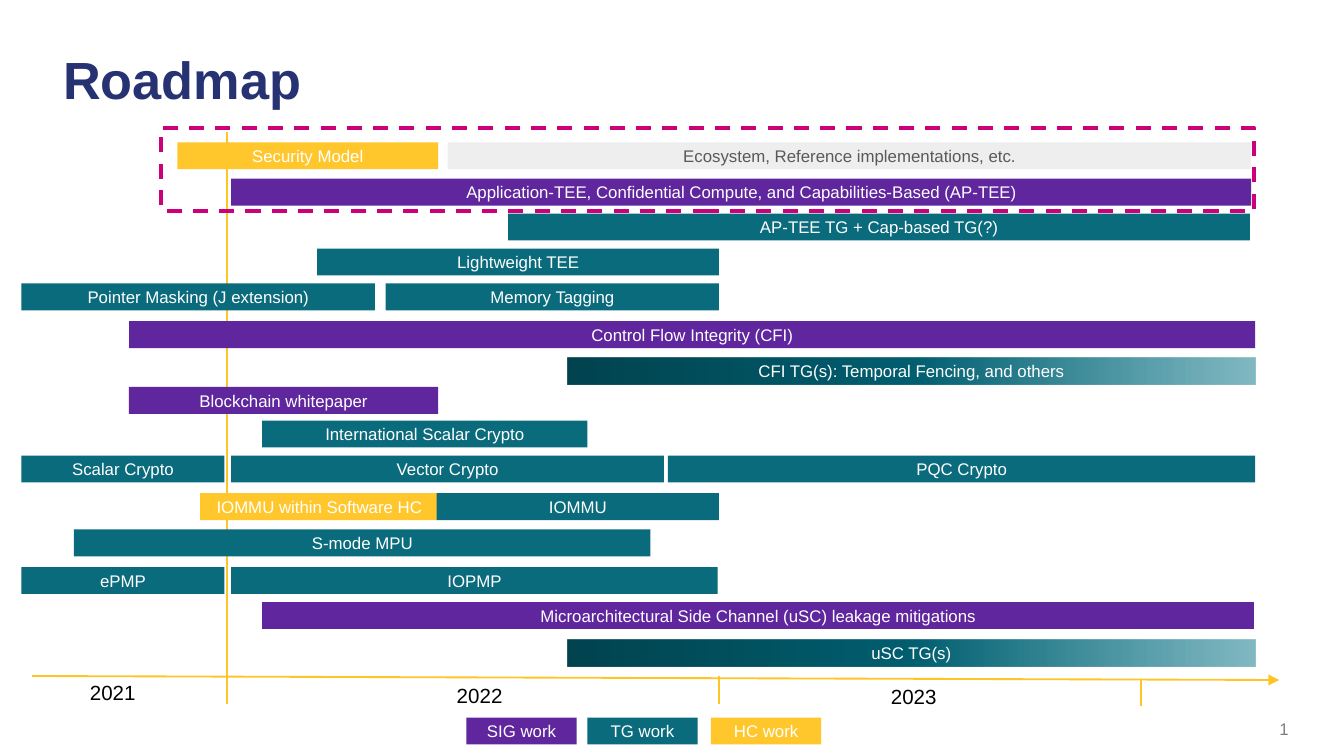
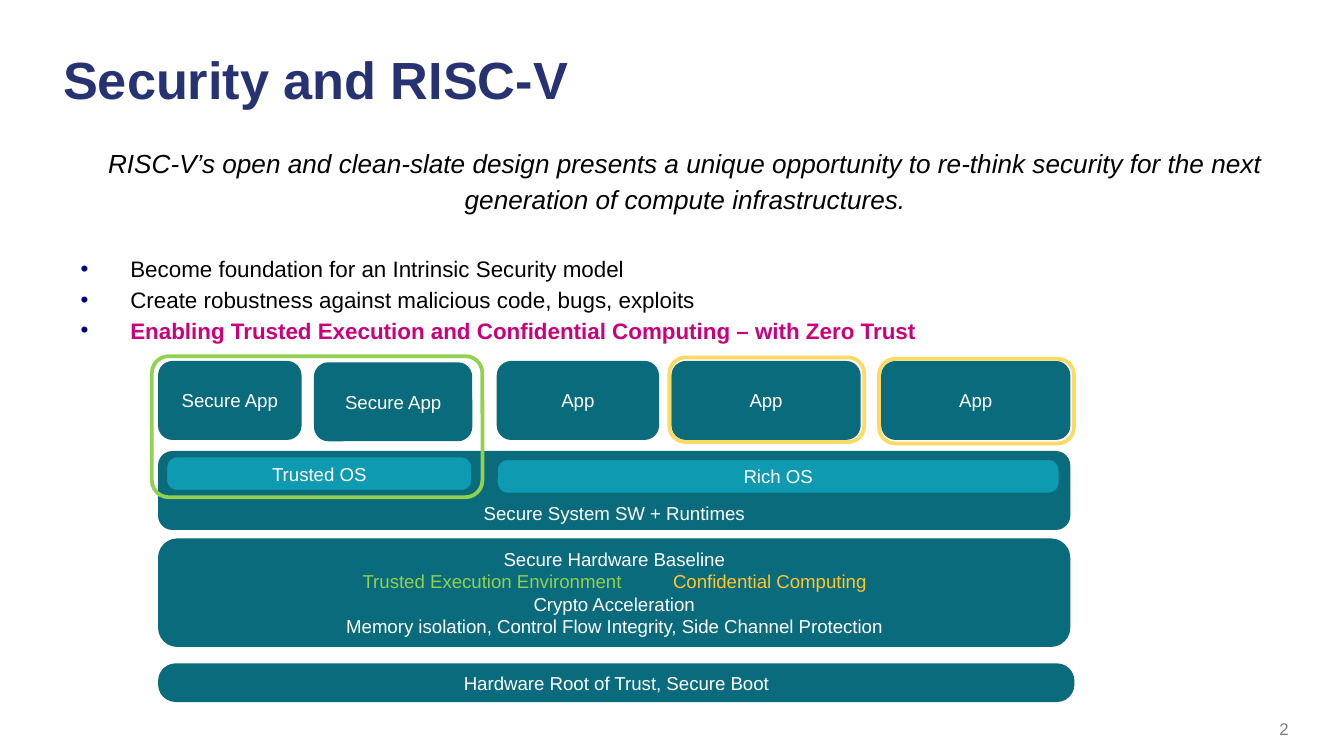
from dataclasses import dataclass

from lxml import etree
from pptx import Presentation
from pptx.dml.color import RGBColor
from pptx.enum.dml import MSO_LINE
from pptx.enum.shapes import MSO_CONNECTOR, MSO_SHAPE
from pptx.enum.text import MSO_ANCHOR, MSO_AUTO_SIZE, PP_ALIGN
from pptx.oxml.ns import qn
from pptx.util import Pt

RECT, ROUND = MSO_SHAPE.RECTANGLE, MSO_SHAPE.ROUNDED_RECTANGLE
STRAIGHT, DASH = MSO_CONNECTOR.STRAIGHT, MSO_LINE.DASH
LEFT, CENTER, RIGHT = PP_ALIGN.LEFT, PP_ALIGN.CENTER, PP_ALIGN.RIGHT
TOP, MID, BOTTOM = MSO_ANCHOR.TOP, MSO_ANCHOR.MIDDLE, MSO_ANCHOR.BOTTOM

SCALE = 9144  # EMU in one px, 100 px to the inch


def px(n):
    return n * SCALE


@dataclass(frozen=True)
class Theme:
    font: str = "Arial"
    navy: str = "273272"
    black: str = "000000"
    white: str = "FFFFFF"
    gray: str = "7F7F7F"
    dark: str = "595959"
    pale: str = "EEEEEE"
    teal: str = "0A6B7C"
    aqua: str = "0E9BB2"
    violet: str = "60269E"
    gold: str = "FFC72C"
    axis: str = "FFC526"
    sand: str = "FDDA64"
    green: str = "92D050"
    pink: str = "CB007B"
    bullet: str = "000080"
    fade: tuple = ((0, "01434F", 100), (50, "015F70", 100), (99, "017185", 50))
    head: int = 28
    lead: int = 14
    body: int = 12
    year: int = 11
    box: int = 10
    small: int = 9


T = Theme()


def put(frame, text, size=T.small, color=T.white, bold=False, italic=False,
        align=CENTER, anchor=MID, inset=(0, 0, 0, 0), wrap=True,
        spacing=None, before=0, indent=None, bullet=None, tabs=(), add=False):
    """Write a paragraph: text is a string or a list of (string, colour) runs."""
    frame.word_wrap, frame.vertical_anchor = wrap, anchor
    frame.auto_size = MSO_AUTO_SIZE.NONE
    (frame.margin_left, frame.margin_top,
     frame.margin_right, frame.margin_bottom) = [px(n) for n in inset]
    para = frame.add_paragraph() if add else frame.paragraphs[0]
    props = para._p.get_or_add_pPr()
    if indent:
        props.set("marL", str(px(indent[0])))
        props.set("indent", str(px(indent[1])))
    if bullet:
        tint = etree.SubElement(props, qn("a:buClr"))
        etree.SubElement(tint, qn("a:srgbClr"), val=bullet)
        etree.SubElement(props, qn("a:buFont"), typeface=T.font)
        etree.SubElement(props, qn("a:buChar"), char="•")
    if tabs:
        stops = etree.SubElement(props, qn("a:tabLst"))
        for pos in tabs:
            etree.SubElement(stops, qn("a:tab"), pos=str(px(pos)), algn="l")
    para.alignment = align
    if spacing:
        para.line_spacing = spacing
    if before:
        para.space_before = Pt(before)
    for words, tint in [(text, color)] if isinstance(text, str) else text:
        run = para.add_run()
        run.text = words
        font = run.font
        font.name, font.size = T.font, Pt(size)
        font.bold, font.italic = bold, italic
        font.color.rgb = RGBColor.from_string(tint)
    return para


class Deck:
    def __init__(self, wide):
        self.file = Presentation()
        self.file.slide_width = px(wide)
        self.file.slide_height = px(wide) * 9 // 16
        self.slide = None

    def page(self, title):
        """Start a slide with its title and number."""
        self.slide = self.file.slides.add_slide(self.file.slide_layouts[5])
        head = self.slide.shapes.title
        head.left, head.top, head.width, head.height = map(px, (40, 24, 877, 74))
        put(head.text_frame, title, size=T.head, color=T.navy, bold=True,
            align=LEFT, inset=(7, 4, 7, 4), spacing=0.95)
        num = put(self.frame(733, 529, 233, 25), str(len(self.file.slides)),
                  color=T.gray, align=RIGHT, anchor=BOTTOM, inset=(7, 4, 7, 4))
        field = num.runs[0]._r
        field.tag = qn("a:fld")
        field.set("id", "{B6F15528-21DE-4FAA-801E-634DDDAF4B2B}")
        field.set("type", "slidenum")

    def frame(self, *area):
        return self.slide.shapes.add_textbox(*map(px, area)).text_frame

    def shape(self, area, text="", kind=RECT, fill=None, line=None, adj=None,
              dash=None, **form):
        item = self.slide.shapes.add_shape(kind, *map(px, area))
        item.shadow.inherit = False
        if adj:
            item.adjustments[0] = adj
        if fill is None:
            item.fill.background()
        elif isinstance(fill, tuple):
            self.blend(item, fill)
        else:
            item.fill.solid()
            item.fill.fore_color.rgb = RGBColor.from_string(fill)
        if line:
            item.line.color.rgb = RGBColor.from_string(line)
            item.line.width = Pt(2)
            if dash:
                item.line.dash_style = dash
        else:
            item.line.fill.background()
        if text:
            put(item.text_frame, text, **form)
        return item

    def blend(self, item, stops):
        """Fill from left to right with (percent, colour, opacity) stops."""
        item.fill.gradient()
        item.fill.gradient_angle = 0
        group = item._element.spPr.find(".//" + qn("a:gsLst"))
        for old in list(group):
            group.remove(old)
        for pos, color, solid in stops:
            stop = etree.SubElement(group, qn("a:gs"), pos=str(pos * 1000))
            tint = etree.SubElement(stop, qn("a:srgbClr"), val=color)
            if solid < 100:
                etree.SubElement(tint, qn("a:alpha"), val=str(solid * 1000))

    def line(self, ends, width=0.75, arrow=False):
        item = self.slide.shapes.add_connector(STRAIGHT, *map(px, ends))
        item.line.color.rgb = RGBColor.from_string(T.axis)
        item.line.width = Pt(width)
        props = item._element.spPr
        if arrow:
            etree.SubElement(props.find(qn("a:ln")), qn("a:tailEnd"),
                             type="triangle")
        etree.SubElement(props, qn("a:effectLst"))

    def card(self, area, text, fill=T.teal, **form):
        return self.shape(area, text, ROUND, fill, T.teal, size=T.box, **form)

    def ring(self, area, color, adj):
        self.shape(area, kind=ROUND, line=color, adj=adj)


def roadmap(deck):
    deck.page("Roadmap")

    # Time axis
    deck.line((24, 503, 952, 506), 1, arrow=True)
    deck.line((169, 504, 169, 98), 1)
    for ends in ((535, 503, 535, 524), (169, 504, 169, 524), (849, 505, 849, 525)):
        deck.line(ends)
    for left, top, year in ((57, 501, "2021"), (330, 503, "2022"), (653, 504, "2023")):
        put(deck.frame(left, top, 55, 29), year, size=T.year, color=T.black,
            align=LEFT, anchor=TOP, inset=(10, 5, 10, 5), wrap=False)

    # Work bars: top of the row, then left, width, fill and label of each bar
    sig, tg, hc = T.violet, T.teal, T.gold
    rows = (
        (106, (132, 194, hc, "Security Model"),
         (333, 598, T.pale, "Ecosystem, Reference implementations, etc.")),
        (133, (172, 759, sig, "Application-TEE, Confidential Compute, and "
                              "Capabilities-Based (AP-TEE)")),
        (159, (378, 552, tg, "AP-TEE TG + Cap-based TG(?)")),
        (185, (236, 299, tg, "Lightweight TEE")),
        (211, (16, 263, tg, "Pointer Masking (J extension)"),
         (287, 248, tg, "Memory Tagging")),
        (239, (96, 838, sig, "Control Flow Integrity (CFI)")),
        (266, (422, 512, T.fade, "CFI TG(s): Temporal Fencing, and others")),
        (288, (96, 230, sig, "Blockchain whitepaper")),
        (313, (195, 242, tg, "International Scalar Crypto")),
        (339, (16, 151, tg, "Scalar Crypto"), (172, 322, tg, "Vector Crypto"),
         (497, 437, tg, "PQC Crypto")),
        (367, (149, 177, hc, "IOMMU within Software HC"), (325, 210, tg, "IOMMU")),
        (394, (55, 429, tg, "S-mode MPU")),
        (422, (16, 151, tg, "ePMP"), (172, 362, tg, "IOPMP")),
        (448, (195, 738, sig, "Microarchitectural Side Channel (uSC) "
                              "leakage mitigations")),
        (476, (422, 512, T.fade, "uSC TG(s)")),
        # Legend
        (534, (347, 82, sig, "SIG work"), (437, 82, tg, "TG work"),
         (529, 82, hc, "HC work")),
    )
    for top, *bars in rows:
        for left, width, fill, label in bars:
            deck.shape((left, top, width, 20), label, fill=fill,
                       color=T.dark if fill == T.pale else T.white)

    # Focus frame
    deck.shape((120, 95, 813, 62), line=T.pink, dash=DASH)


def security(deck):
    deck.page("Security and RISC-V")

    # Statement and goals
    body = deck.frame(40, 102, 927, 411)
    base = dict(color=T.black, anchor=TOP, inset=(7, 4, 7, 4), spacing=1.15)
    put(body, "RISC-V’s open and clean-slate design presents a unique opportunity "
        "to re-think security for the next generation of compute infrastructures.",
        **base | dict(size=T.lead, italic=True, indent=(13, 0)))
    goals = (
        ("Become foundation for an Intrinsic Security model", dict(before=19.5)),
        ("Create robustness against malicious code, bugs, exploits", {}),
        ("Enabling Trusted Execution and Confidential Computing – with Zero Trust",
         dict(color=T.pink, bold=True)),
    )
    for goal, form in goals:
        put(body, goal, **base | dict(size=T.body, align=LEFT, indent=(50, -37),
                                      bullet=T.bullet, add=True) | form)

    # System layers
    deck.card((119, 337, 676, 56), "Secure System SW + Runtimes",
              anchor=BOTTOM)
    base = deck.card((119, 402, 676, 78), "Secure Hardware Baseline").text_frame
    put(base, [("\tTrusted Execution Environment", T.green),
               ("\tConfidential Computing", T.gold)],
        size=T.box, align=LEFT, tabs=(147, 378), add=True)
    for text in ("Crypto Acceleration",
                 "Memory isolation, Control Flow Integrity, Side Channel Protection"):
        put(base, text, size=T.box, add=True)
    deck.card((119, 495, 679, 26), "Hardware Root of Trust, Secure Boot", adj=0.45)

    # Apps
    for left, top, width, text in (
            (119, 270, 104, "Secure App"), (235, 271, 115, "Secure App"),
            (371, 270, 118, "App"), (501, 270, 138, "App"), (657, 270, 138, "App")):
        deck.card((left, top, width, 56), text)

    # Trusted and confidential zones
    deck.ring((113, 265, 246, 105), T.green, 0.12)
    for left, top in ((498, 266), (654, 267)):
        deck.ring((left, top, 145, 63), T.sand, 0.19)

    # Operating systems
    for area, text in (((123, 339, 229, 27), "Trusted OS"),
                       ((369, 341, 420, 27), "Rich OS")):
        deck.card(area, text, fill=T.aqua, adj=0.32)


def main():
    deck = Deck(1000)
    roadmap(deck)
    security(deck)
    deck.file.save("out.pptx")


if __name__ == "__main__":
    main()
